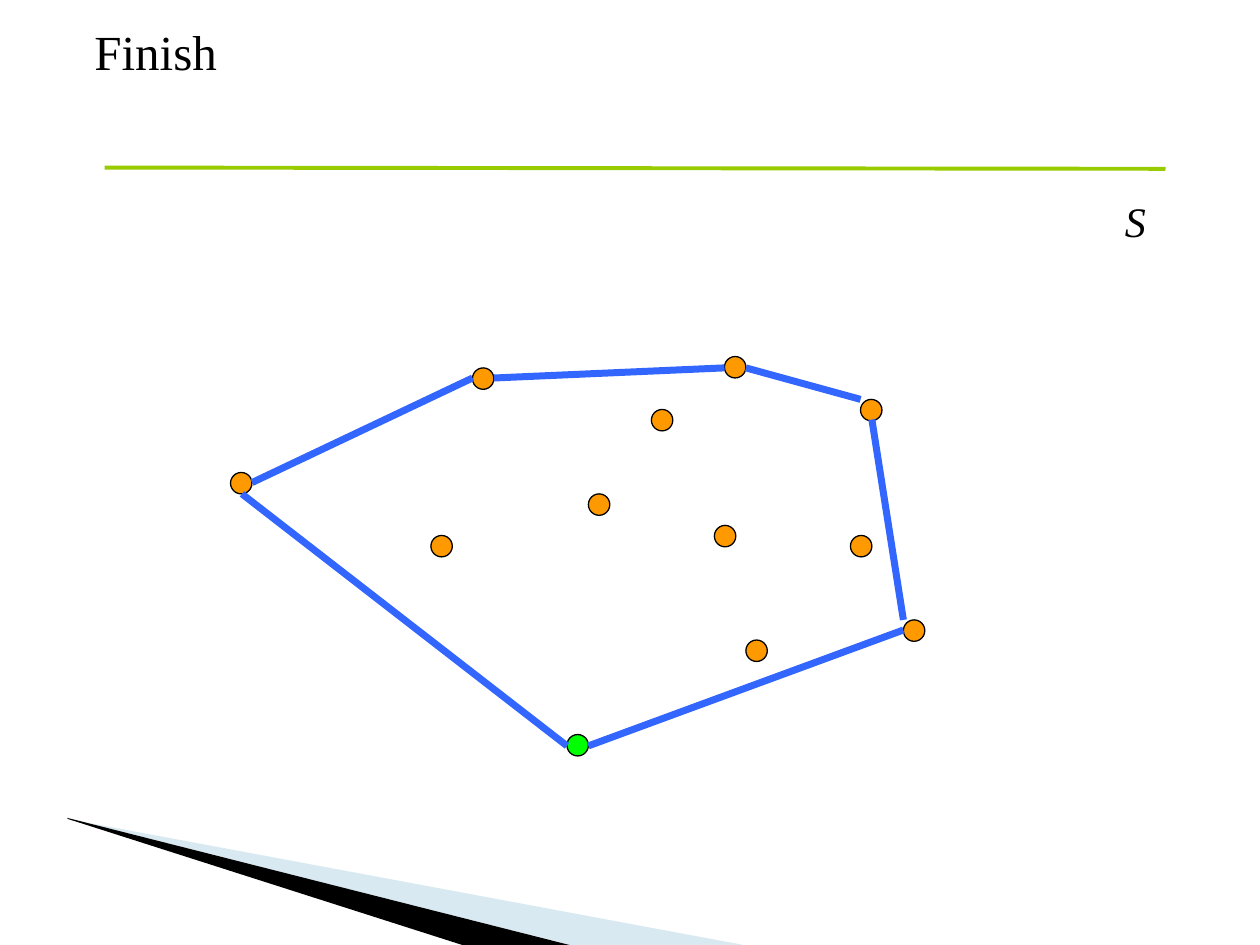
from typing import NamedTuple

from lxml import etree
from pptx import Presentation
from pptx.dml.color import RGBColor
from pptx.enum.shapes import MSO_CONNECTOR, MSO_SHAPE
from pptx.enum.text import MSO_ANCHOR
from pptx.oxml.ns import qn
from pptx.util import Inches, Pt

STRAIGHT = MSO_CONNECTOR.STRAIGHT
OVAL = MSO_SHAPE.OVAL
TOP = MSO_ANCHOR.TOP

BLACK, ORANGE, GREEN = "000000", "FF9900", "00FF00"
HULL_BLUE, RULE_GREEN, PALE_BLUE = "3366FF", "99CC00", "9FCADC"
DOT_SIZE = 0.17


class Point(NamedTuple):
    x: float
    y: float


class Dot(NamedTuple):
    left: float
    top: float
    color: str = ORANGE


class Segment(NamedTuple):
    start: Point
    end: Point
    color: str = HULL_BLUE
    width: float = 4


class Wedge(NamedTuple):
    points: list[Point]
    color: str
    opacity: int = 100


class Label(NamedTuple):
    text: str
    left: float
    top: float
    width: float
    height: float
    size: int
    italic: bool = False
    inset: tuple[float, float] = (0.1, 0.05)
    wrap: bool = False


WEDGES = [
    Wedge([Point(0.55, 6.5), Point(0.55, 6.51), Point(0.64, 6.52),
           Point(4.52, 7.5), Point(5.9, 7.5), Point(0.64, 6.52)], PALE_BLUE, 40),
    Wedge([Point(0.53, 6.49), Point(0.54, 6.5), Point(3.67, 7.5),
           Point(4.52, 7.5)], BLACK),
]
LABELS = [
    Label("Finish", 0.75, 0.17, 8.5, 1.25, 28, inset=(0, 0), wrap=True),
    Label("S", 8.83, 1.5, 0.37, 0.5, 24, italic=True),
]
DOTS = [
    Dot(4.5, 5.83, GREEN), Dot(1.83, 3.75), Dot(6.83, 3.17), Dot(5.75, 2.83),
    Dot(7.17, 4.92), Dot(6.75, 4.25), Dot(5.17, 3.25), Dot(4.67, 3.92),
    Dot(3.75, 2.92), Dot(3.42, 4.25), Dot(5.67, 4.17), Dot(5.92, 5.08),
]
SEGMENTS = [
    Segment(Point(0.83, 1.33), Point(9.25, 1.34), RULE_GREEN, 2.25),
    Segment(Point(4.67, 5.92), Point(7.17, 5)),
    Segment(Point(7.17, 4.92), Point(6.92, 3.33)),
    Segment(Point(5.92, 2.92), Point(6.83, 3.17)),
    Segment(Point(5.75, 2.92), Point(3.92, 3)),
    Segment(Point(3.75, 3), Point(2, 3.83)),
    Segment(Point(4.5, 5.92), Point(1.92, 3.92)),
]


def rgb(color: str) -> RGBColor:
    return RGBColor.from_string(color)


def fill_shape(shape, color: str) -> None:
    shape.shadow.inherit = False
    shape.fill.solid()
    shape.fill.fore_color.rgb = rgb(color)


def draw_wedge(page, wedge: Wedge) -> None:
    corners = [(Inches(point.x), Inches(point.y)) for point in wedge.points]
    builder = page.shapes.build_freeform(*corners[0])
    builder.add_line_segments(corners[1:], close=True)
    shape = builder.convert_to_shape()
    fill_shape(shape, wedge.color)
    shape.line.fill.background()
    if wedge.opacity < 100:
        color = shape._element.spPr.find(qn("a:solidFill")).find(qn("a:srgbClr"))
        etree.SubElement(color, qn("a:alpha"), val=str(wedge.opacity * 1000))


def draw_label(page, label: Label) -> None:
    box = page.shapes.add_textbox(Inches(label.left), Inches(label.top),
                                  Inches(label.width), Inches(label.height))
    frame = box.text_frame
    side, edge = (Inches(inset) for inset in label.inset)
    frame_format = {"word_wrap": label.wrap, "vertical_anchor": TOP,
                    "margin_left": side, "margin_right": side,
                    "margin_top": edge, "margin_bottom": edge}
    for name, value in frame_format.items():
        setattr(frame, name, value)
    span = frame.paragraphs[0].add_run()
    span.text = label.text
    font_format = {"name": "Times New Roman", "size": Pt(label.size),
                   "italic": label.italic}
    for name, value in font_format.items():
        setattr(span.font, name, value)
    span.font.color.rgb = rgb(BLACK)


def draw_dot(page, dot: Dot) -> None:
    shape = page.shapes.add_shape(OVAL, Inches(dot.left), Inches(dot.top),
                                  Inches(DOT_SIZE), Inches(DOT_SIZE))
    fill_shape(shape, dot.color)
    shape.line.color.rgb = rgb(BLACK)
    shape.line.width = Pt(0.75)


def draw_segment(page, segment: Segment) -> None:
    ends = [Inches(value) for point in (segment.start, segment.end) for value in point]
    connector = page.shapes.add_connector(STRAIGHT, *ends)
    connector.line.color.rgb = rgb(segment.color)
    connector.line.width = Pt(segment.width)
    etree.SubElement(connector._element.spPr, qn("a:effectLst"))


def main() -> None:
    deck = Presentation()
    deck.slide_width, deck.slide_height = Inches(10), Inches(7.5)
    page = deck.slides.add_slide(deck.slide_layouts[6])

    # Corner decoration
    for wedge in WEDGES:
        draw_wedge(page, wedge)

    # Title and set name
    for label in LABELS:
        draw_label(page, label)

    # Points of the set, with the start point in green
    for dot in DOTS:
        draw_dot(page, dot)

    # Title rule and convex hull
    for segment in SEGMENTS:
        draw_segment(page, segment)

    deck.save("out.pptx")


if __name__ == "__main__":
    main()
